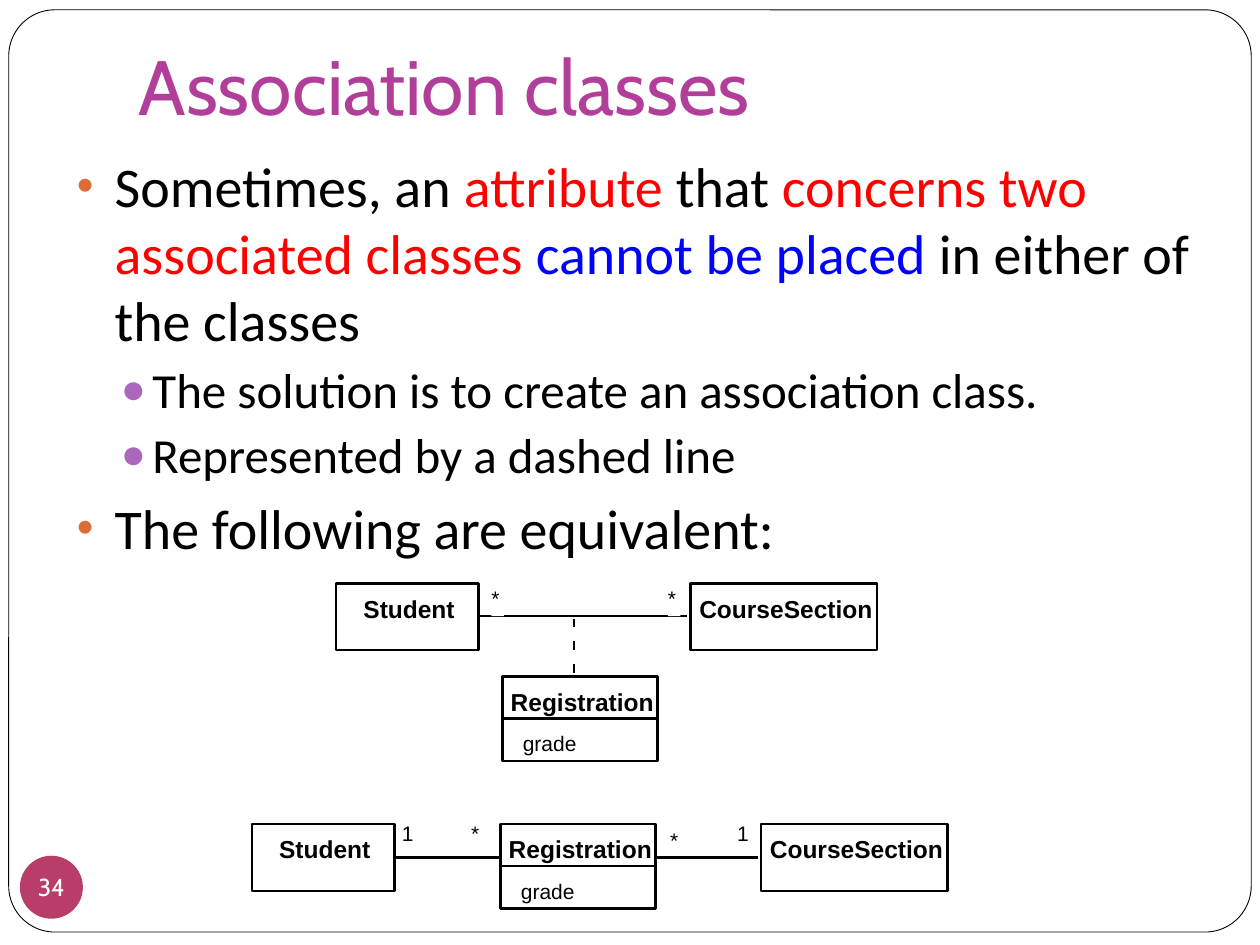
"""Build the slide on association classes with two equivalent diagrams."""
from lxml.etree import SubElement
from pptx import Presentation
from pptx.dml.color import RGBColor
from pptx.enum.shapes import MSO_CONNECTOR, MSO_SHAPE
from pptx.enum.text import MSO_ANCHOR, MSO_AUTO_SIZE, PP_ALIGN
from pptx.oxml.ns import qn
from pptx.util import Pt

BLACK = RGBColor(0x00, 0x00, 0x00)
WHITE = RGBColor(0xFF, 0xFF, 0xFF)
RED = RGBColor(0xFF, 0x00, 0x00)
BLUE = RGBColor(0x00, 0x00, 0xFF)
PINK = RGBColor(0xB1, 0x3F, 0x9A)
ROSE = RGBColor(0xB8, 0x3D, 0x68)
RUST = RGBColor(0xDE, 0x6C, 0x36)
LILAC = RGBColor(0xAC, 0x66, 0xBB)


def write(para, text, size, face, color, bold=False):
    """Add one formatted run to a paragraph."""
    run = para.add_run()
    run.text = text
    run.font.size = Pt(size)
    run.font.name = face
    run.font.color.rgb = color
    run.font.bold = bold


def draw(kind, left, top, width, height, fill=None, weight=None):
    """Add a preset shape with an optional fill and black outline."""
    shape = slide.shapes.add_shape(kind, Pt(left), Pt(top), Pt(width), Pt(height))
    shape.shadow.inherit = False
    if fill is None:
        shape.fill.background()
    else:
        shape.fill.solid()
        shape.fill.fore_color.rgb = fill
    if weight is None:
        shape.line.fill.background()
    else:
        shape.line.color.rgb = BLACK
        shape.line.width = Pt(weight)
    return shape


deck = Presentation()
deck.slide_width, deck.slide_height = Pt(720), Pt(540)
slide = deck.slides.add_slide(deck.slide_layouts[1])
title, body = slide.placeholders

frame = draw(MSO_SHAPE.ROUNDED_RECTANGLE, 5, 5.6, 710, 527, WHITE, 0.5)
frame.adjustments[0] = 0.05
slide.shapes._spTree.insert(2, frame.element)

badge = draw(MSO_SHAPE.OVAL, 11.4, 489, 36, 36, ROSE)
text = badge.text_frame
text.margin_left = text.margin_right = text.margin_top = text.margin_bottom = 0
text.word_wrap = False
text.vertical_anchor = MSO_ANCHOR.MIDDLE
text.paragraphs[0].alignment = PP_ALIGN.CENTER
write(text.paragraphs[0], "34", 14, "Cabin", WHITE)

title.left, title.top, title.width, title.height = Pt(72), Pt(-8), Pt(612), Pt(90)
text = title.text_frame
text.auto_size = MSO_AUTO_SIZE.NONE
text.vertical_anchor = MSO_ANCHOR.BOTTOM
text.margin_bottom = Pt(7.2)
text.paragraphs[0].alignment = PP_ALIGN.LEFT
write(text.paragraphs[0], "Association classes", 44, "Cabin", PINK)

body.left, body.top, body.width, body.height = Pt(36.7), Pt(82.8), Pt(669), Pt(442)
body.text_frame.auto_size = MSO_AUTO_SIZE.NONE
points = [
    (0, [("Sometimes, an ", BLACK), ("attribute ", RED), ("that ", BLACK),
         ("concerns two associated classes ", RED), ("cannot be placed", BLUE),
         (" in either of the classes", BLACK)]),
    (1, [("The solution is to create an association class.", BLACK)]),
    (1, [("Represented by a dashed line", BLACK)]),
    (0, [("The following are equivalent:", BLACK)]),
]
styles = [(32, 5.8, 21.6, 21.6, "•", RUST), (28, 3.7, 43.2, 18, "●", LILAC)]
for index, (level, runs) in enumerate(points):
    para = body.text_frame.paragraphs[0] if index == 0 else body.text_frame.add_paragraph()
    size, space, margin, hang, mark, tint = styles[level]
    para.level = level
    para.space_before = Pt(space)
    props = para._p.get_or_add_pPr()
    props.set("marL", str(Pt(margin)))
    props.set("indent", str(-Pt(hang)))
    SubElement(SubElement(props, qn("a:buClr")), qn("a:srgbClr"), val=str(tint))
    SubElement(props, qn("a:buSzPct"), val="85000")
    SubElement(props, qn("a:buFont"), typeface="Arial")
    SubElement(props, qn("a:buChar"), char=mark)
    for words, color in runs:
        write(para, words, size, "Calibri", color)

kinds = {
    "Student": (81.4, 38.2, 15.5, 52.6),
    "CourseSection": (106.6, 38.2, 5, 99.4),
    "Registration": (88.6, 48.2, 4.6, 82),
}
boxes = [
    ("Student", 192.2, 333.4), ("CourseSection", 394.6, 333.4),
    ("Registration", 287.2, 386.6),
    ("Student", 144, 470.9), ("Registration", 286.1, 470.9),
    ("CourseSection", 434.9, 470.9),
]
lines = [(273.6, 352, 392.4, 352), (226, 490.1, 286, 490.1), (374.4, 490.1, 433, 490.1)]
lines += [(327.9, top, 327.9, top + 5) for top in (353.5, 366.5, 379.5)]
labels = [
    ("*", 280.8, 334.8, 5, 12), ("*", 381.6, 334.8, 5, 12),
    ("1", 229.7, 468.7, 7.2, 12), ("*", 269.3, 468.7, 7.2, 12),
    ("*", 383, 473, 5, 12), ("1", 421.2, 468.7, 7.2, 12),
]
for name, left, top in boxes:
    width, height, inset, extent = kinds[name]
    draw(MSO_SHAPE.RECTANGLE, left, top, width, height, weight=1.39)
    labels.append((name, left + inset, top + 5.8, extent, 14))
    if name == "Registration":
        lines.append((left, top + 24, left + width, top + 24))
        labels.append(("grade", left + 11.6, top + 31, 31, 12))

for start, top, end, base in lines:
    line = slide.shapes.add_connector(
        MSO_CONNECTOR.STRAIGHT, Pt(start), Pt(top), Pt(end), Pt(base))
    line.line.color.rgb = BLACK
    line.line.width = Pt(1.39)
    SubElement(line.element.spPr, qn("a:effectLst"))

for left in (280.8, 381.6):
    draw(MSO_SHAPE.RECTANGLE, left, 334.8, 7.2, 17.3, WHITE)

for words, left, top, width, size in labels:
    label = slide.shapes.add_textbox(Pt(left), Pt(top), Pt(width), Pt(size * 1.2))
    text = label.text_frame
    text.margin_left = text.margin_right = text.margin_top = text.margin_bottom = 0
    text.word_wrap = False
    write(text.paragraphs[0], words, size, "Arial", BLACK, size == 14)

deck.save("out.pptx")
